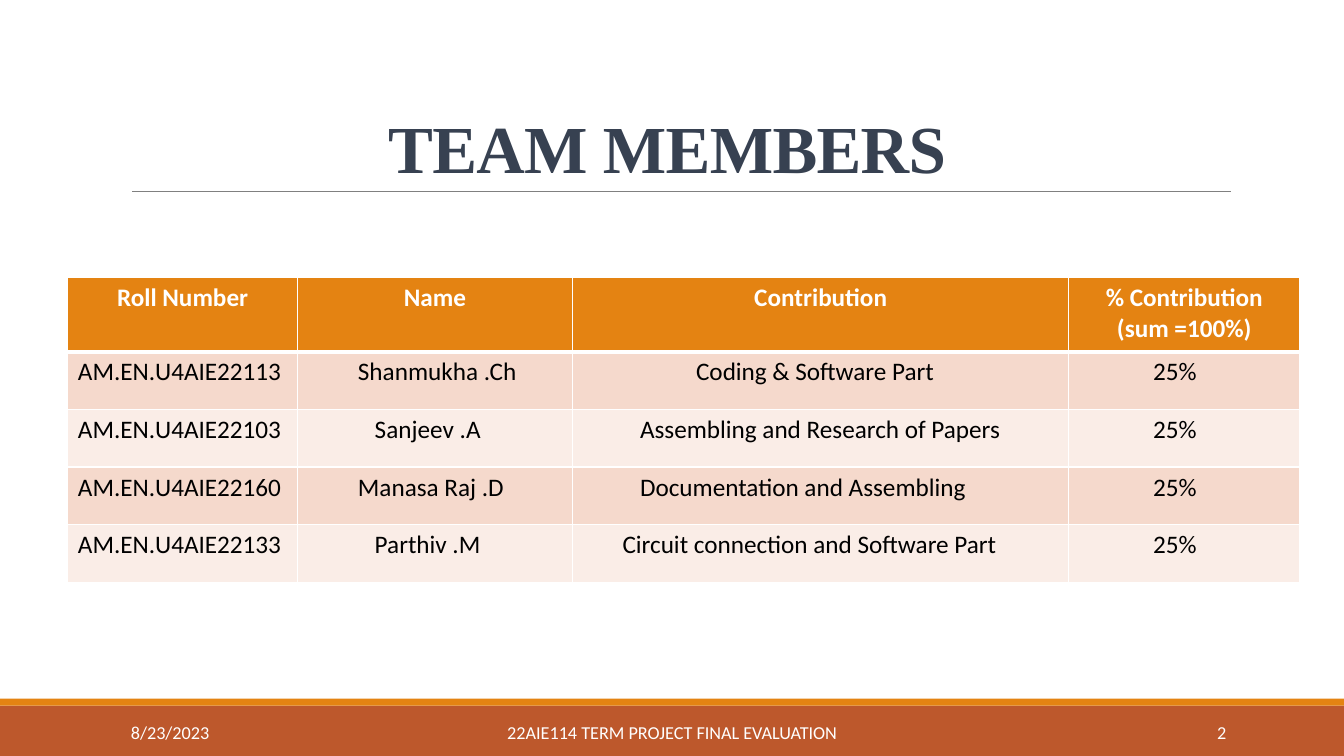
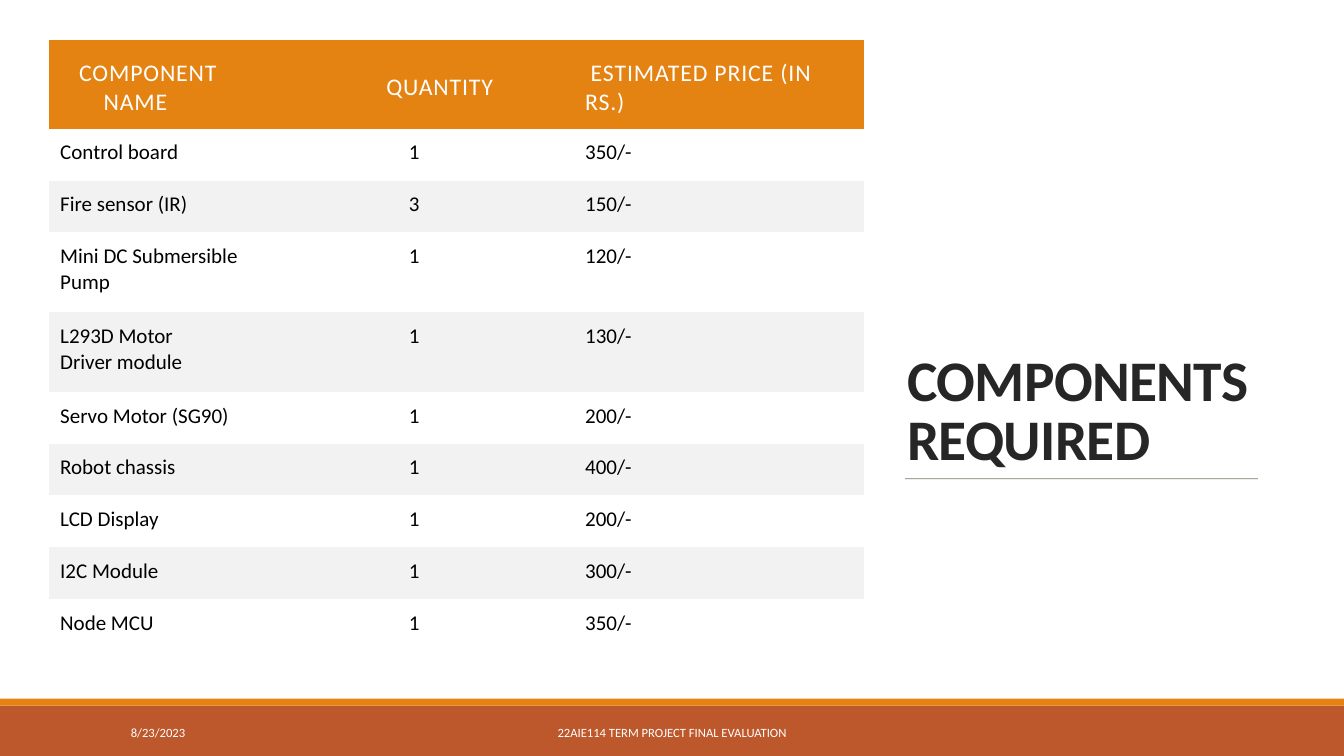
import pptx
import pptx.util
import pptx.dml.color
import pptx.enum.shapes
import pptx.enum.text
import pptx.oxml.ns
from lxml import etree

Pt = pptx.util.Pt
ALIGN = pptx.enum.text.PP_ALIGN
ANCHOR = pptx.enum.text.MSO_ANCHOR
SANS = "Calibri"
SERIF = "Times New Roman"
PLAIN = "{2D5ABB26-0587-4C30-8999-92F81FD0307C}"  # table style without grid
HUES = {
    "rust": "BD582C", "gold": "E48312", "white": "FFFFFF", "black": "000000",
    "slate": "374151", "dark": "262626", "gray": "808080", "moss": "637052",
    "rose": "F5D9CC", "blush": "FAEDE7", "pale": "F2F2F2",
}

# Each body entry is the text, or the text with its indent
TEAM = [
    ["Roll Number", "Name", "Contribution", "% Contribution (sum =100%)"],
    ["AM.EN.U4AIE22113", ("Shanmukha .Ch", 36), ("Coding & Software Part", 81), ("25%", 53)],
    ["AM.EN.U4AIE22103", ("Sanjeev .A", 48), ("Assembling and Research of Papers", 41), ("25%", 53)],
    ["AM.EN.U4AIE22160", ("Manasa Raj .D", 36), ("Documentation and Assembling", 41), ("25%", 53)],
    ["AM.EN.U4AIE22133", ("Parthiv .M", 48), ("Circuit connection and Software Part", 28.5), ("25%", 53)],
]
HEADS = [("COMPONENT\vNAME", 31, -17.5), ("QUANTITY", 58), ("ESTIMATED PRICE (IN RS.)", 0, 4)]
PARTS = [
    ("Control board", 1, 350),
    ("Fire sensor (IR)", 3, 150),
    ("Mini DC Submersible Pump", 1, 120),
    ("L293D Motor\vDriver module", 1, 130),
    ("Servo Motor (SG90)", 1, 200),
    ("Robot chassis", 1, 400),
    ("LCD Display", 1, 200),
    ("I2C Module", 1, 300),
    ("Node MCU", 1, 350),
]


def rgb(hue):
    return pptx.dml.color.RGBColor.from_string(HUES[hue])


def sub(node, tag, **attrs):
    return etree.SubElement(node, pptx.oxml.ns.qn(tag), attrs)


def style(para, size, hue, face=SANS, bold=False, gap=0):
    """Format the runs; gap is the letter spacing in points."""
    for run in para.runs:
        font = run.font
        font.size, font.name, font.bold = Pt(size), face, bold
        font.color.rgb = rgb(hue)
        if gap:
            run._r.get_or_add_rPr().set("spc", str(round(gap * 100)))


def label(slide, text, box, size, hue, align=ALIGN.LEFT, anchor=ANCHOR.MIDDLE, **look):
    frame = slide.shapes.add_textbox(*map(Pt, box)).text_frame
    frame.word_wrap = True
    frame.vertical_anchor = anchor
    frame.text = text
    para = frame.paragraphs[0]
    para.alignment = align
    style(para, size, hue, **look)
    return para


def title(slide, text, box, size, hue, **look):
    para = label(slide, text, box, size, hue, anchor=ANCHOR.BOTTOM, bold=True, gap=-0.5, **look)
    para.line_spacing = 0.85


def band(slide, top, high, hue):
    bar = slide.shapes.add_shape(pptx.enum.shapes.MSO_SHAPE.RECTANGLE,
                                 Pt(0), Pt(top), Pt(960), Pt(high))
    bar.shadow.inherit = False
    bar.fill.solid()
    bar.fill.fore_color.rgb = rgb(hue)
    bar.line.fill.background()


def rule(slide, left, right, y, hue, alpha=100):
    line = slide.shapes.add_connector(pptx.enum.shapes.MSO_CONNECTOR.STRAIGHT,
                                      Pt(left), Pt(y), Pt(right), Pt(y))
    line.line.width = Pt(0.5)
    line.line.color.rgb = rgb(hue)
    props = line._element.spPr
    if alpha < 100:
        tint = props.find(".//" + pptx.oxml.ns.qn("a:srgbClr"))
        sub(tint, "a:alpha", val=str(alpha * 1000))
    sub(props, "a:effectLst")


def footer(slide, size, page=None):
    band(slide, 504, 36, "rust")
    band(slide, 499, 5, "gold")
    label(slide, "8/23/2023", (86.4, 508.5, 194, 29), size, "white")
    label(slide, "22AIE114 TERM PROJECT FINAL EVALUATION",
          (290, 508.5, 380, 29), size, "white", ALIGN.CENTER)
    if page:
        label(slide, page, (780, 508.5, 103, 29), size, "white", ALIGN.RIGHT)


def grid(slide, left, top, cols, rows):
    """Add an unstyled table with the given column widths and row heights."""
    shape = slide.shapes.add_table(len(rows), len(cols), Pt(left), Pt(top),
                                   Pt(sum(cols)), Pt(sum(rows)))
    table = shape.table
    table._tbl.tblPr.find(pptx.oxml.ns.qn("a:tableStyleId")).text = PLAIN
    table.horz_banding = False
    for col, wide in zip(table.columns, cols):
        col.width = Pt(wide)
    for row, high in zip(table.rows, rows):
        row.height = Pt(high)
    return table


def edge(cell, row):
    """Draw white borders, heavier under the header row."""
    props = cell._tc.get_or_add_tcPr()
    heavy = {("a:lnB", 0), ("a:lnT", 1)}
    for spot, side in enumerate(("a:lnL", "a:lnR", "a:lnT", "a:lnB")):
        wide = 3 if (side, row) in heavy else 1
        line = etree.Element(pptx.oxml.ns.qn(side), w=str(Pt(wide)))
        sub(sub(line, "a:solidFill"), "a:srgbClr", val=HUES["white"])
        props.insert(spot, line)


def fill(cell, entry, hue, size, ink, **look):
    """Write an entry: text, or (text, indent, first-line indent)."""
    text, inset, first = ((entry,) if isinstance(entry, str) else entry + (0, 0))[:3] \
        if not isinstance(entry, str) else (entry, 0, 0)
    cell.fill.solid()
    cell.fill.fore_color.rgb = rgb(hue)
    cell.text = text
    para = cell.text_frame.paragraphs[0]
    props = para._p.get_or_add_pPr()
    props.set("marL", str(Pt(inset)))
    props.set("indent", str(Pt(first)))
    style(para, size, ink, **look)
    return para


def team(slide):
    footer(slide, 13, "2")
    rule(slide, 94.5, 879, 137, "gray")
    title(slide, "TEAM MEMBERS", (80.5, 22.5, 792, 114.5), 48, "slate",
          align=ALIGN.CENTER, face=SERIF)
    table = grid(slide, 48.5, 198.25, [164, 196.5, 354.5, 165], [53] + [41.2] * 4)
    for r, row in enumerate(TEAM):
        head = r == 0
        hue = "gold" if head else ("blush", "rose")[r % 2]
        for c, entry in enumerate(row):
            cell = table.cell(r, c)
            para = fill(cell, entry, hue, 18, "white" if head else "black", bold=head)
            if head:
                para.alignment = ALIGN.CENTER
            edge(cell, r)


def parts(slide):
    footer(slide, 9)
    title(slide, "COMPONENTS REQUIRED", (641, 50.5, 268, 290), 41, "dark")
    rule(slide, 646.5, 898.5, 342, "moss", 90)
    highs = [63.5] + [57 if name in ("Mini DC Submersible Pump", "L293D Motor\vDriver module")
                      else 37 for name, count, price in PARTS]
    table = grid(slide, 35, 28.5, [175, 200, 207], highs)
    body = [[name, (str(count), 74), f"{price}/-"] for name, count, price in PARTS]
    for r, row in enumerate([HEADS] + body):
        for c, entry in enumerate(row):
            cell = table.cell(r, c)
            cell.margin_left = cell.margin_right = cell.margin_top = Pt(8)
            cell.margin_bottom = Pt(3.6)
            if r == 0:
                cell.vertical_anchor = ANCHOR.MIDDLE
                fill(cell, entry, "gold", 17, "white", gap=0.6)
            else:
                fill(cell, entry, ("pale", "white")[r % 2], 15, "black")


def main():
    deck = pptx.Presentation()
    deck.slide_width, deck.slide_height = Pt(960), Pt(540)
    for build in (team, parts):
        build(deck.slides.add_slide(deck.slide_layouts[6]))
    deck.save("out.pptx")


if __name__ == "__main__":
    main()
